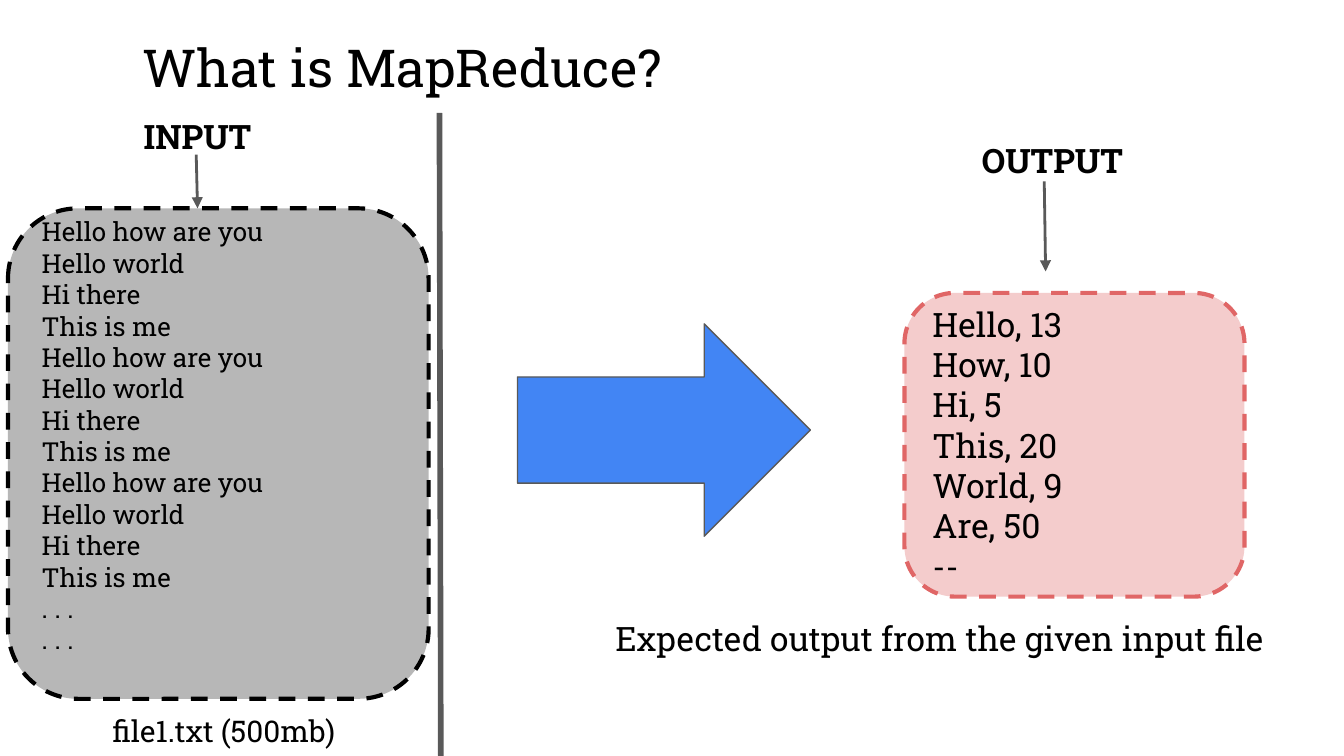
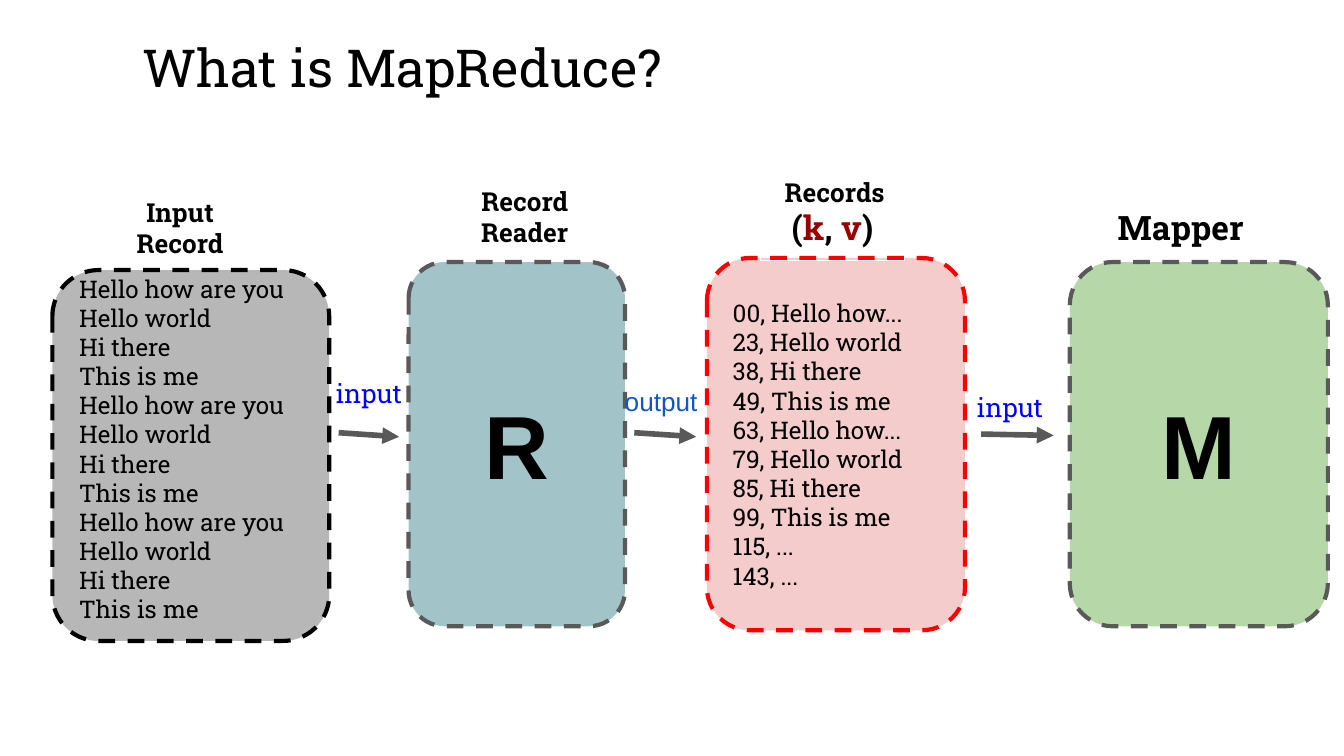
from dataclasses import dataclass

from lxml import etree
from pptx import Presentation
from pptx.dml.color import RGBColor
from pptx.enum.dml import MSO_LINE
from pptx.enum.shapes import MSO_CONNECTOR, MSO_SHAPE
from pptx.enum.text import MSO_ANCHOR, MSO_AUTO_SIZE, PP_ALIGN
from pptx.oxml.ns import qn
from pptx.util import Inches, Pt

LEFT, CENTER = PP_ALIGN.LEFT, PP_ALIGN.CENTER
TOP, MIDDLE = MSO_ANCHOR.TOP, MSO_ANCHOR.MIDDLE
FIT, DASH = MSO_AUTO_SIZE.SHAPE_TO_FIT_TEXT, MSO_LINE.DASH
STRAIGHT = MSO_CONNECTOR.STRAIGHT
RECT, ROUND = MSO_SHAPE.RECTANGLE, MSO_SHAPE.ROUNDED_RECTANGLE
ARROW = MSO_SHAPE.RIGHT_ARROW


@dataclass(frozen=True)
class Theme:
    slab: str = "Roboto Slab"
    sans: str = "Arial"
    ink: str = "000000"
    white: str = "FFFFFF"
    rule: str = "595959"
    gray: str = "B7B7B7"
    pink: str = "F4CCCC"
    rose: str = "E06666"
    red: str = "FF0000"
    teal: str = "A2C4C9"
    green: str = "B6D7A8"
    blue: str = "4285F4"
    link: str = "0000FF"
    link_dark: str = "1155CC"
    key: str = "990000"
    title: int = 28
    letter: int = 48
    head: int = 18
    note: int = 16
    label: int = 14
    record: int = 13
    thin: float = 0.75
    fine: float = 1.5
    dashed: float = 2.25
    heavy: float = 3


T = Theme()
COLS = 100
SLIDE_W, SLIDE_H = Inches(10), Inches(10 * 9 / 16)
UNIT = SLIDE_W / COLS  # one column or row of the square grid

GREETINGS = ["Hello how are you", "Hello world", "Hi there", "This is me"]


# --- Basics: boxes are (column, row, columns, rows) ---
def grid(*cells):
    return [round(c * UNIT) for c in cells]


def within(box, dx, dy, w, h):
    return box[0] + dx, box[1] + dy, w, h


def style_run(r, size, color=T.ink, bold=False, font=T.slab):
    r.font.size, r.font.name, r.font.bold = Pt(size), font, bold
    r.font.color.rgb = RGBColor.from_string(color)


def set_frame(tf, anchor=TOP, extra_bottom=0):
    tf.word_wrap, tf.vertical_anchor = True, anchor
    inset = round(UNIT)
    tf.margin_left = tf.margin_right = tf.margin_top = inset
    tf.margin_bottom = inset + round(extra_bottom * UNIT)


def fill_text(tf, lines, align, size, **font):
    tf.text = "\n".join(lines)
    for p in tf.paragraphs:
        p.alignment = align
        for r in p.runs:
            style_run(r, size, **font)


def add_text(s, box, text, size, align=CENTER, **font):
    sp = s.shapes.add_textbox(*grid(*box))
    set_frame(sp.text_frame)
    sp.text_frame.auto_size = FIT
    fill_text(sp.text_frame, [text], align, size, **font)


def add_block(s, kind, box, fill, line, width):
    sp = s.shapes.add_shape(kind, *grid(*box))
    sp.shadow.inherit = False
    if fill:
        sp.fill.solid()
        sp.fill.fore_color.rgb = RGBColor.from_string(fill)
    else:
        sp.fill.background()
    sp.line.color.rgb = RGBColor.from_string(line)
    sp.line.width = Pt(width)
    return sp


def add_card(s, box, fill, line, lines, size, align=LEFT, extra_bottom=0, **font):
    sp = add_block(s, ROUND, box, fill, line, T.dashed)
    sp.line.dash_style = DASH
    set_frame(sp.text_frame, MIDDLE, extra_bottom)
    fill_text(sp.text_frame, lines, align, size, **font)


def add_line(s, start, end, width, arrow=True):
    c = s.shapes.add_connector(STRAIGHT, *grid(*start, *end))
    c.line.color.rgb = RGBColor.from_string(T.rule)
    c.line.width = Pt(width)
    spPr = c._element.spPr
    if arrow:
        etree.SubElement(spPr.find(qn("a:ln")), qn("a:tailEnd"), type="triangle")
    etree.SubElement(spPr, qn("a:effectLst"))


def add_titled_slide(prs, title):
    s = prs.slides.add_slide(prs.slide_layouts[6])
    add_text(s, (9.6, 1.6, 46.2, 6.7), title, T.title, LEFT)
    return s


# --- Slide 1: input file and expected output ---
def input_region(s, box):
    x, y = box[:2]
    add_card(s, box, T.gray, T.ink, GREETINGS * 3 + [". . ."] * 2,
             T.label, extra_bottom=2.7)
    add_text(s, within(box, 6.8, box[3], 20.6, 4.7), "file1.txt (500mb)", T.note, LEFT)
    add_text(s, within(box, 7.3, -7.9, 13.6, 5), "INPUT", T.head, bold=True)
    add_line(s, (x + 14, y - 4), (x + 14.1, y), T.fine)


def output_region(s, box):
    x, y = box[:2]
    counts = ["Hello, 13", "How, 10", "Hi, 5", "This, 20", "World, 9", "Are, 50", "--"]
    add_card(s, box, T.pink, T.rose, counts, T.head)
    add_text(s, within(box, 0.7, -12.4, 20.6, 5), "OUTPUT", T.head, bold=True)
    add_line(s, (x + 10.4, y - 8.3), (x + 10.5, y - 1.6), T.fine)
    add_text(s, within(box, -22.5, 23.2, 52.1, 5),
             "Expected output from the given input file", T.head, LEFT)


def overview_slide(prs, title):
    s = add_titled_slide(prs, title)
    add_line(s, (32.7, 8.4), (32.8, 56.8), T.heavy, arrow=False)
    input_region(s, (0.6, 15.5, 31.3, 36.5))
    output_region(s, (67.3, 21.8, 25.3, 22.6))
    add_block(s, ARROW, (38.5, 24.1, 21.8, 15.8), T.blue, T.rule, T.thin)


# --- Slide 2: from input record to mapper ---
def input_stage(s, box):
    add_card(s, box, T.gray, T.ink, GREETINGS * 3, T.record, extra_bottom=1)
    add_text(s, within(box, 3.4, -6.5, 12.2, 6.7), "Input Record", T.label, bold=True)


def letter_stage(s, box, letter, fill, caption, caption_box, size):
    add_card(s, box, fill, T.rule, [letter], T.letter, CENTER, bold=True, font=T.sans)
    add_text(s, within(box, *caption_box), caption, size, bold=True)


def records_stage(s, box):
    offsets = [0, 23, 38, 49, 63, 79, 85, 99]
    values = (["Hello how..."] + GREETINGS[1:]) * 2
    records = [f"{k:02}, {v}" for k, v in zip(offsets, values)]
    add_card(s, box, T.pink, T.red, records + ["115, ...", "143, ..."], T.record)

    # Key and value pair
    sp = add_block(s, RECT, within(box, 4, -4.8, 10.7, 5), None, T.white, T.thin)
    set_frame(sp.text_frame)
    sp.text_frame.auto_size = FIT
    p = sp.text_frame.paragraphs[0]
    p.alignment = CENTER
    for text in ("(", "k", ", ", "v", ")"):
        r = p.add_run()
        r.text = text
        style_run(r, T.head, T.key if text in "kv" else T.ink, bold=True)

    # Label lies in front of the pair's white outline
    add_text(s, within(box, 4.8, -7.1, 10.7, 4.4), "Records", T.label, LEFT, bold=True)


def flow(s, box, drop, text, label_box, align=CENTER, **font):
    x, y, w = box
    add_line(s, (x, y), (x + w, y + drop), T.heavy)
    add_text(s, within(box, *label_box, 8.9, 4.4), text, T.label, align, **font)


def pipeline_slide(prs, title):
    s = add_titled_slide(prs, title)
    input_stage(s, (3.9, 20.1, 20.6, 27.6))
    letter_stage(s, (30.4, 19.5, 16.1, 27.1), "R", T.teal,
                 "Record Reader", (2.9, -6.7, 11.5, 6.7), T.label)
    records_stage(s, (52.6, 19.2, 19.2, 27.7))
    letter_stage(s, (79.6, 19.5, 19.2, 27.1), "M", T.green,
                 "Mapper", (1.8, -5.1, 12.9, 5), T.head)
    # Arrows between the stages
    flow(s, (25.2, 32.2, 4.5), 0.3, "input", (-2.2, -5.1), color=T.link)
    flow(s, (47.2, 32.2, 4.6), 0.3, "output", (-1.7, -4.5), LEFT,
         color=T.link_dark, font=T.sans)
    flow(s, (73, 32.3, 5.4), 0.1, "input", (-2.3, -4.2), color=T.link)


def main():
    prs = Presentation()
    prs.slide_width, prs.slide_height = SLIDE_W, SLIDE_H
    title = "What is MapReduce?"
    overview_slide(prs, title)
    pipeline_slide(prs, title)
    prs.save("out.pptx")


if __name__ == "__main__":
    main()
